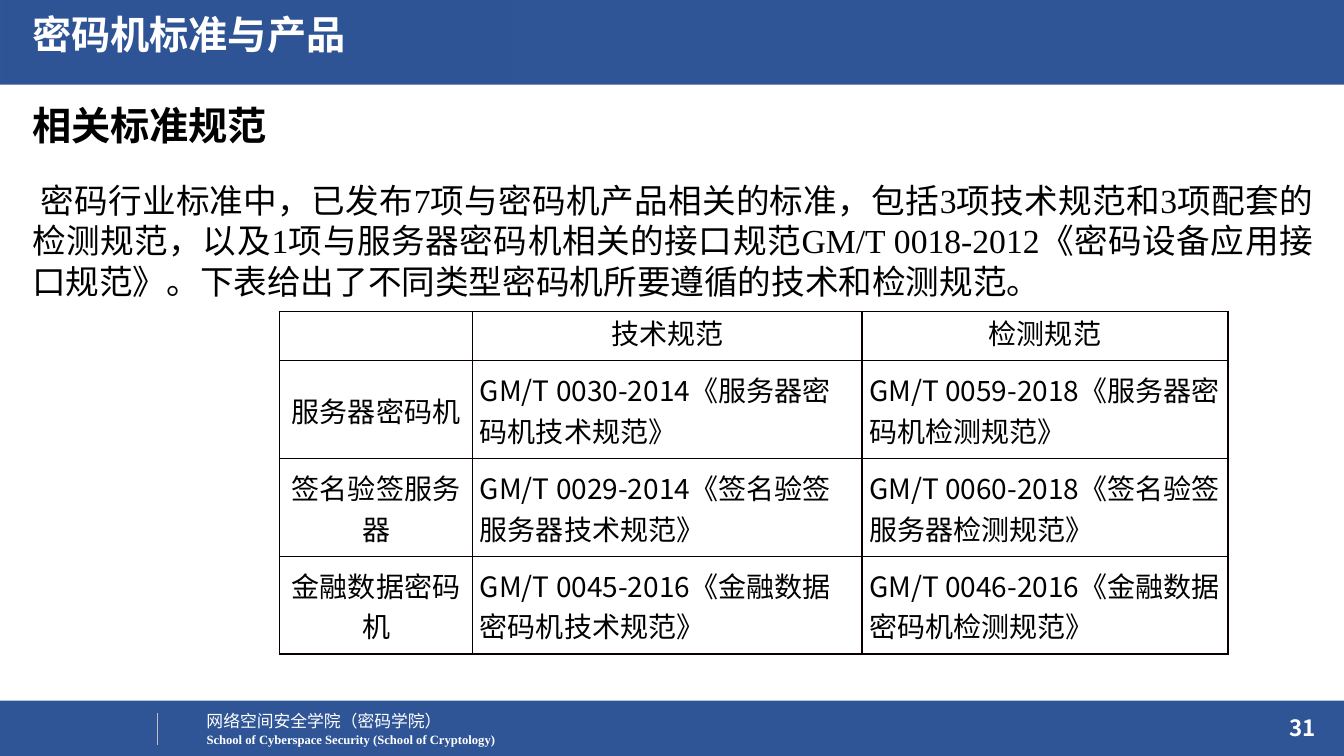
from dataclasses import dataclass

from lxml import etree
from pptx import Presentation
from pptx.dml.color import RGBColor
from pptx.enum.shapes import MSO_CONNECTOR, MSO_SHAPE
from pptx.enum.text import MSO_ANCHOR, MSO_AUTO_SIZE, PP_ALIGN
from pptx.oxml.ns import qn
from pptx.util import Inches, Pt

RECT = MSO_SHAPE.RECTANGLE
STRAIGHT = MSO_CONNECTOR.STRAIGHT
TOP, MIDDLE = MSO_ANCHOR.TOP, MSO_ANCHOR.MIDDLE
LEFT, CENTER = PP_ALIGN.LEFT, PP_ALIGN.CENTER
RIGHT, JUSTIFY = PP_ALIGN.RIGHT, PP_ALIGN.JUSTIFY


@dataclass(frozen=True)
class Theme:
    blue: str = "2F5597"
    white: str = "FFFFFF"
    black: str = "000000"
    divider: str = "BFBFBF"
    border: str = "080000"
    sans: str = "Noto Sans CJK SC"
    serif: str = "Times New Roman"
    heading: int = 28
    body: int = 24
    table: int = 20
    number: int = 16
    school: int = 12
    school_en: int = 9


T = Theme()
SLIDE_W, SLIDE_H = 13.33, 7.5
MARGIN = 0.22

INTRO = (
    " 密码行业标准中，已发布7项与密码机产品相关的标准，包括3项技术规范和3项配套的检测规范，"
    "以及1项与服务器密码机相关的接口规范GM/T 0018-2012《密码设备应用接口规范》。"
    "下表给出了不同类型密码机所要遵循的技术和检测规范。"
)
MACHINES = [
    ("服务器密码机", "0030-2014", "0059-2018"),
    ("签名验签服务器", "0029-2014", "0060-2018"),
    ("金融数据密码机", "0045-2016", "0046-2016"),
]
COL_WIDTHS = [1.92, 3.86, 3.63]
HEADER_H, ROW_H = 0.49, 0.97


def write(tf, text, size, font=T.sans, color=T.black, bold=False, align=LEFT,
          line_spacing=None, space_before=None):
    p = tf.paragraphs[0]
    p.alignment = align
    if line_spacing:
        p.line_spacing = line_spacing
    if space_before:
        p.space_before = space_before
    r = p.add_run()
    r.text = text
    r.font.size = Pt(size)
    r.font.name = font
    r.font.bold = bold
    r.font.color.rgb = RGBColor.from_string(color)
    ea = etree.SubElement(r.font._element, qn("a:ea"))
    ea.set("typeface", T.sans)


def add_text(s, box, text, size, wrap=True, anchor=TOP, top_inset=0.05, **fmt):
    tf = s.shapes.add_textbox(*map(Inches, box)).text_frame
    tf.word_wrap = wrap
    tf.vertical_anchor = anchor
    tf.margin_top = Inches(top_inset)
    if not wrap:
        tf.auto_size = MSO_AUTO_SIZE.SHAPE_TO_FIT_TEXT
    write(tf, text, size, **fmt)


def add_bar(s, box):
    bar = s.shapes.add_shape(RECT, *map(Inches, box))
    bar.shadow.inherit = False
    bar.line.fill.background()
    bar.fill.solid()
    bar.fill.fore_color.rgb = RGBColor.from_string(T.blue)
    return bar


def add_heading(s, box, text, color=T.black):
    add_text(s, box, text, T.heading, color=color, bold=True,
             line_spacing=0.9, space_before=Pt(10))


def title_band(s, x, y, w, h):
    add_bar(s, (x, y, w, h))
    fade = add_bar(s, (x, y - 0.01, 5.07, h))
    fade.fill.gradient()
    fade.fill.gradient_angle = 0
    stops = fade.fill.gradient_stops
    for stop in stops:
        stop.color.rgb = RGBColor.from_string(T.blue)
    clear = stops[0]._gs.find(qn("a:srgbClr"))
    etree.SubElement(clear, qn("a:alpha")).set("val", "0")
    add_heading(s, (x + MARGIN, y + 0.11, 8.42, 0.61), "密码机标准与产品", T.white)


def footer_band(s, x, y, w, h):
    add_bar(s, (x, y, w, h))
    line_x = Inches(x + 1.56)
    divider = s.shapes.add_connector(
        STRAIGHT, line_x, Inches(y + 0.12), line_x, Inches(y + 0.44))
    divider.line.color.rgb = RGBColor.from_string(T.divider)
    divider.line.width = Pt(0.5)
    etree.SubElement(divider._element.spPr, qn("a:effectLst"))
    add_text(s, (x + 1.95, y + 0.05, 2.56, 0.3), "网络空间安全学院（密码学院）",
             T.school, wrap=False, color=T.white)
    add_text(s, (x + 1.95, y + 0.26, 3.09, 0.25),
             "School of Cyberspace Security (School of Cryptology)",
             T.school_en, wrap=False, font=T.serif, color=T.white, bold=True)
    add_text(s, (x + w - 3.18, y + 0.07, 3, 0.4), "31", T.number,
             anchor=MIDDLE, color=T.white, bold=True, align=RIGHT)


def introduction(s, x, y, w, h):
    add_heading(s, (x, y, w, 0.62), "相关标准规范")
    add_text(s, (x, y + 0.69, w, h - 0.69), INTRO, T.body, font=T.serif,
             align=JUSTIFY, line_spacing=Pt(29), top_inset=0.08)


def add_borders(cell):
    """Put a thin line on all four sides of a table cell."""
    tcPr = cell._tc.get_or_add_tcPr()
    for i, side in enumerate(("lnL", "lnR", "lnT", "lnB")):
        ln = etree.Element(qn(f"a:{side}"), w=str(Pt(1)))
        fill = etree.SubElement(ln, qn("a:solidFill"))
        etree.SubElement(fill, qn("a:srgbClr")).set("val", T.border)
        tcPr.insert(i, ln)


def standards_table(s, x, y):
    rows = [("", "技术规范", "检测规范")]
    for name, technical, testing in MACHINES:
        rows.append((name, f"GM/T {technical}《{name}技术规范》",
                     f"GM/T {testing}《{name}检测规范》"))
    heights = [HEADER_H] + [ROW_H] * len(MACHINES)
    table = s.shapes.add_table(
        len(rows), len(COL_WIDTHS), Inches(x), Inches(y),
        Inches(sum(COL_WIDTHS)), Inches(sum(heights))).table
    table.first_row = table.horz_banding = False
    for column, width in zip(table.columns, COL_WIDTHS):
        column.width = Inches(width)
    for i, texts in enumerate(rows):
        table.rows[i].height = Inches(heights[i])
        for j, text in enumerate(texts):
            cell = table.cell(i, j)
            cell.fill.background()
            add_borders(cell)
            cell.margin_left = cell.margin_right = Inches(0.07)
            cell.margin_top = cell.margin_bottom = 0
            cell.vertical_anchor = MIDDLE if i else TOP
            if text:
                write(cell.text_frame, text, T.table,
                      align=LEFT if i and j else CENTER)


def main():
    prs = Presentation()
    prs.slide_width, prs.slide_height = Inches(SLIDE_W), Inches(SLIDE_H)
    s = prs.slides.add_slide(prs.slide_layouts[6])
    footer_band(s, 0, SLIDE_H - 0.55, SLIDE_W, 0.55)
    title_band(s, 0, 0, SLIDE_W, 0.84)
    introduction(s, MARGIN, 1.01, 12.9, 5.63)
    standards_table(s, 2.77, 3.09)
    prs.save("out.pptx")


if __name__ == "__main__":
    main()
